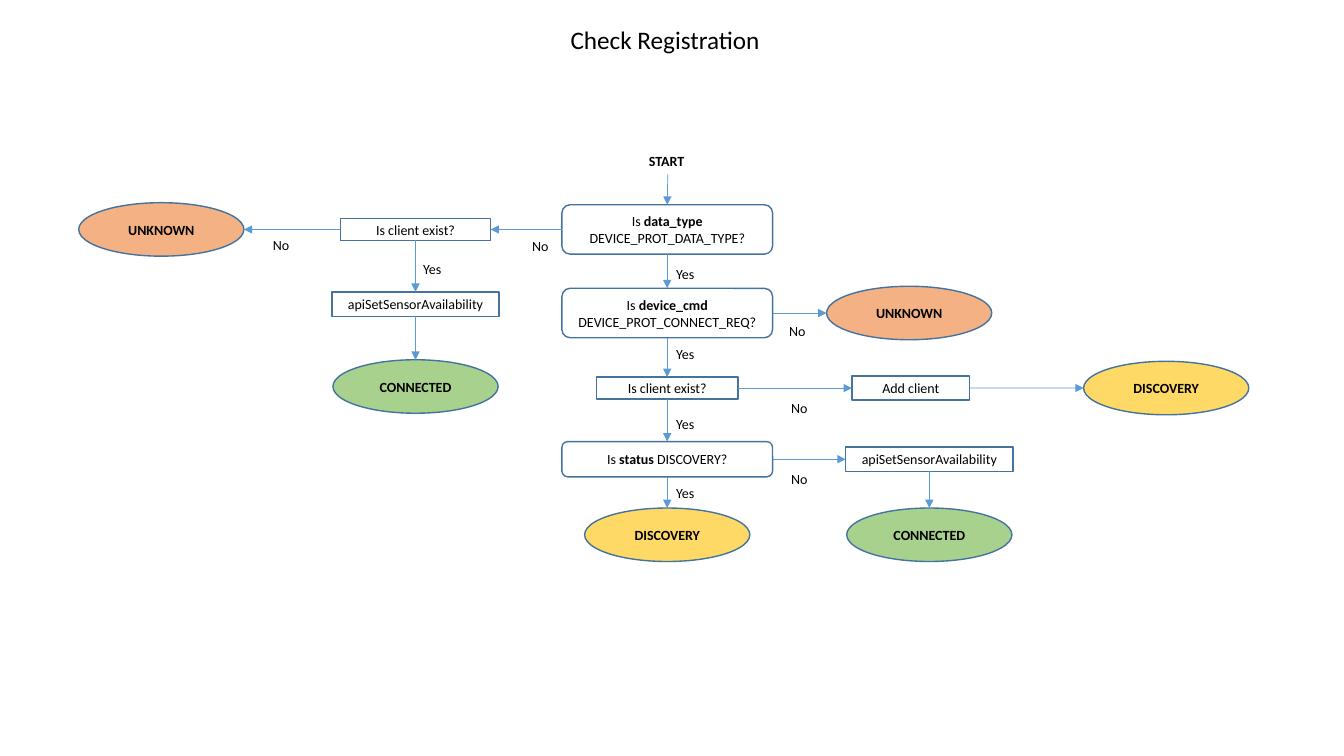
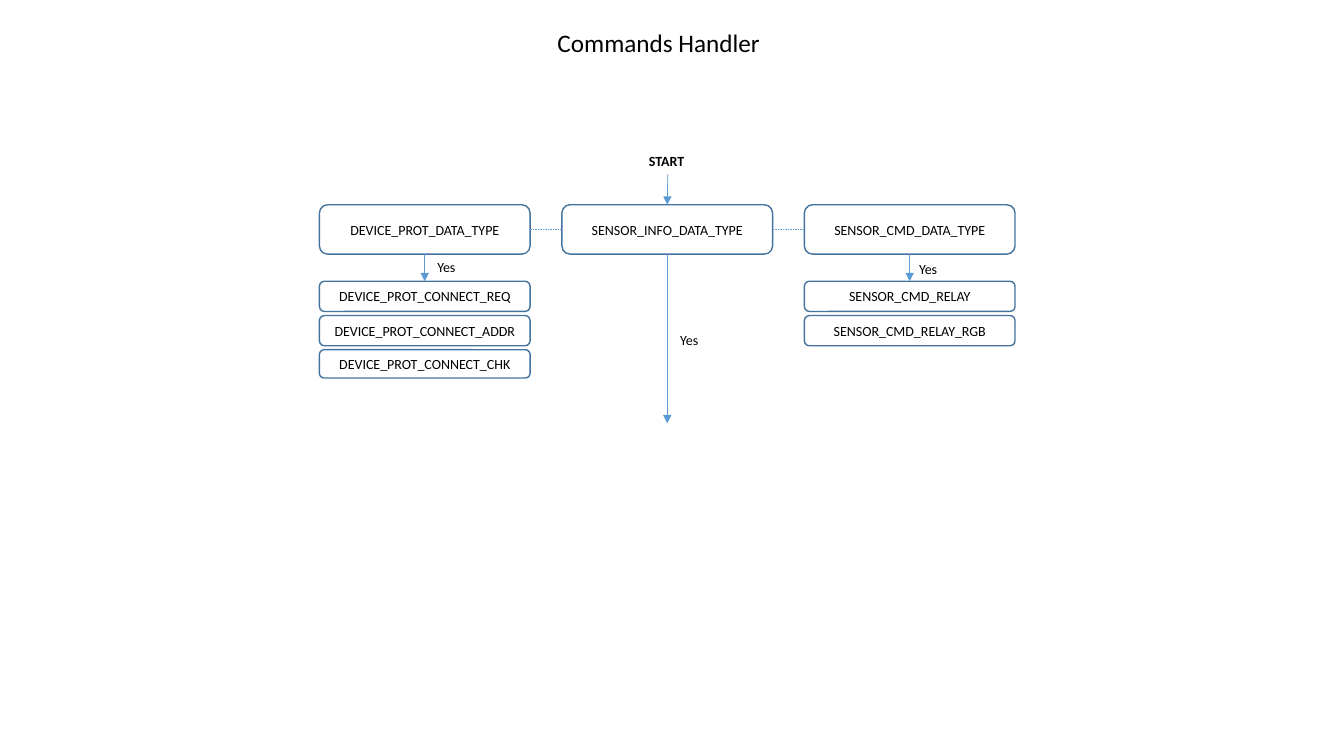
"""Build two flowchart slides: registration check and commands handler."""
from dataclasses import dataclass

from lxml import etree
from pptx import Presentation
from pptx.dml.color import RGBColor
from pptx.enum.dml import MSO_LINE
from pptx.enum.shapes import MSO_CONNECTOR, MSO_SHAPE
from pptx.enum.text import MSO_ANCHOR, MSO_AUTO_SIZE, PP_ALIGN
from pptx.oxml.ns import qn
from pptx.util import Pt

ROUNDED = MSO_SHAPE.ROUNDED_RECTANGLE
RECTANGLE = MSO_SHAPE.RECTANGLE
OVAL = MSO_SHAPE.OVAL
STRAIGHT = MSO_CONNECTOR.STRAIGHT
DASH = MSO_LINE.DASH
TOP, MIDDLE = MSO_ANCHOR.TOP, MSO_ANCHOR.MIDDLE
LEFT, CENTER = PP_ALIGN.LEFT, PP_ALIGN.CENTER
FIT_SHAPE = MSO_AUTO_SIZE.SHAPE_TO_FIT_TEXT


@dataclass(frozen=True)
class Theme:
    """Colours, font, type sizes and line widths."""
    font: str = "Calibri"
    ink: str = "000000"
    outline: str = "43739E"
    arrow: str = "5B9BD5"
    unknown: str = "F4B183"
    connected: str = "A9D18E"
    discovery: str = "FFD966"
    title_size: float = 18
    body_size: float = 10
    outline_width: float = 1
    arrow_width: float = 0.5
    link_width: float = 0.25


THEME = Theme()
SLIDE_SIZE = (960, 540)
MAIN = 476.6
LABEL_SIZES = {"Yes": (28, 19.4), "No": (26.6, 19.4)}

STYLES = {
    "start": (None, 41, 19.4, None),
    "question": (ROUNDED, 150.5, 35.3, None),
    "short question": (ROUNDED, 150.5, 25.2, None),
    "command": (ROUNDED, 150.5, 21.6, None),
    "last command": (ROUNDED, 150.5, 20.2, None),
    "check": (RECTANGLE, 101, 15.8, None),
    "side check": (RECTANGLE, 107.3, 15.5, None),
    "call": (RECTANGLE, 119.5, 17.5, None),
    "add": (RECTANGLE, 84.2, 17.3, None),
    "unknown": (OVAL, 118, 38.2, THEME.unknown),
    "connected": (OVAL, 118, 38.2, THEME.connected),
    "discovery": (OVAL, 118, 38.2, THEME.discovery),
}

ROWS = (163.9, 223.6, 277.2, 328, 382)
SIDE, API = 296.8, 663.8
START = ("start", "start", MAIN + 0.4, 114.8, "*START*")
REGISTRATION = {
    "title": ("Check Registration", 400.3, 13.7, 151.2),
    "boxes": [
        START,
        ("type", "question", MAIN, ROWS[0], "Is *data_type* DEVICE_PROT_DATA_TYPE?"),
        ("command", "question", MAIN, ROWS[1], "Is *device_cmd* DEVICE_PROT_CONNECT_REQ?"),
        ("client", "check", MAIN, ROWS[2], "Is client exist?"),
        ("status", "short question", MAIN, ROWS[3], "Is *status *DISCOVERY?"),
        ("found", "discovery", MAIN, ROWS[4], "*DISCOVERY*"),
        ("bad command", "unknown", 649.4, ROWS[1], "*UNKNOWN*"),
        ("add", "add", 650.6, ROWS[2], "Add client"),
        ("added", "discovery", 833, ROWS[2], "*DISCOVERY*"),
        ("call", "call", API, ROWS[3], "apiSetSensorAvailability"),
        ("connected", "connected", API, ROWS[4], "*CONNECTED*"),
        ("side client", "side check", SIDE, ROWS[0], "Is client exist?"),
        ("bad client", "unknown", 115.2, ROWS[0], "*UNKNOWN*"),
        ("side call", "call", SIDE, 217.2, "apiSetSensorAvailability"),
        ("side connected", "connected", SIDE, 276.1, "*CONNECTED*"),
    ],
    "flows": [
        ("start", "down", "type"),
        ("type", "down", "command"),
        ("command", "down", "client"),
        ("client", "down", "status"),
        ("status", "down", "found"),
        ("command", "right", "bad command"),
        ("client", "right", "add"),
        ("add", "right", "added"),
        ("status", "right", "call"),
        ("call", "down", "connected"),
        ("type", "left", "side client"),
        ("side client", "left", "bad client"),
        ("side client", "down", "side call"),
        ("side call", "down", "side connected"),
    ],
    "links": [],
    "labels": [
        *(("Yes", 475.9, top) for top in (185.8, 243.4, 293, 342.7)),
        ("Yes", 295.2, 182.2), ("No", 373, 166.3), ("No", 187.9, 165.6),
        ("No", 556.6, 226.8), ("No", 558, 281.5), ("No", 558, 332.6),
    ],
}

PITCH = 173.2
FAMILIES = [
    ("DEVICE_PROT_DATA_TYPE", MAIN - PITCH, [
        "DEVICE_PROT_CONNECT_REQ", "DEVICE_PROT_CONNECT_ADDR", "DEVICE_PROT_CONNECT_CHK"]),
    ("SENSOR_INFO_DATA_TYPE", MAIN, []),
    ("SENSOR_CMD_DATA_TYPE", MAIN + PITCH, ["SENSOR_CMD_RELAY", "SENSOR_CMD_RELAY_RGB"]),
]
COMMAND_ROWS = [("command", 211.7), ("command", 236.2), ("last command", 259.9)]
COMMANDS = {
    "title": ("Commands Handler", 391, 15.8, 160.6),
    "boxes": [
        START,
        *((name, "question", x, ROWS[0], name) for name, x, _ in FAMILIES),
        *((name, style, x, y, name) for _, x, names in FAMILIES
          for name, (style, y) in zip(names, COMMAND_ROWS)),
    ],
    "flows": [
        ("start", "down", "SENSOR_INFO_DATA_TYPE"),
        ("SENSOR_INFO_DATA_TYPE", "down", (MAIN, 302.4)),
        *((name, "down", names[0]) for name, _, names in FAMILIES if names),
    ],
    "links": [
        ("SENSOR_INFO_DATA_TYPE", "left", "DEVICE_PROT_DATA_TYPE"),
        ("SENSOR_INFO_DATA_TYPE", "right", "SENSOR_CMD_DATA_TYPE"),
    ],
    "labels": [("Yes", 478.8, 233.3), ("Yes", 305.3, 181.4), ("Yes", 649.4, 182.9)],
}

SIDES = {"down": ("bottom", "top"), "left": ("left", "right"), "right": ("right", "left")}
SITES = {"top": (0, 0, -1), "left": (1, -1, 0), "bottom": (2, 0, 1), "right": (3, 1, 0)}


def color(value):
    """Turn a hex string into a colour."""
    return RGBColor.from_string(value)


def write(frame, text, size, align, anchor, wrap):
    """Write one paragraph whose parts between stars are bold."""
    frame.word_wrap = wrap
    frame.vertical_anchor = anchor
    if not wrap:
        frame.auto_size = FIT_SHAPE
    para = frame.paragraphs[0]
    para.alignment = align
    for index, part in enumerate(text.split("*")):
        if part:
            span = para.add_run()
            span.text = part
            span.font.name = THEME.font
            span.font.size = Pt(size)
            span.font.bold = index % 2 == 1
            span.font.color.rgb = color(THEME.ink)


def add_note(page, text, left, top, width, height):
    """Add a plain text box."""
    note = page.shapes.add_textbox(Pt(left), Pt(top), Pt(width), Pt(height))
    write(note.text_frame, text, THEME.body_size, LEFT, TOP, False)
    return note


def add_box(page, style, x, y, text):
    """Add a flowchart box centred on a point."""
    preset, width, height, fill = STYLES[style]
    left, top = x - width / 2, y - height / 2
    if preset is None:
        return add_note(page, text, left, top, width, height)
    box = page.shapes.add_shape(preset, Pt(left), Pt(top), Pt(width), Pt(height))
    box.shadow.inherit = False
    if fill:
        box.fill.solid()
        box.fill.fore_color.rgb = color(fill)
    else:
        box.fill.background()
    box.line.color.rgb = color(THEME.outline)
    box.line.width = Pt(THEME.outline_width)
    write(box.text_frame, text, THEME.body_size, CENTER, MIDDLE, True)
    return box


def side_point(box, side):
    """Return the middle of one side of a box."""
    _, across, down = SITES[side]
    return (box.left + box.width * (1 + across) // 2,
            box.top + box.height * (1 + down) // 2)


def glue(connector, tag, box, side, round_box):
    """Attach one end of a connector to a box."""
    site = SITES[side][0] * (2 if round_box else 1)
    holder = connector._element.nvCxnSpPr.cNvCxnSpPr
    etree.SubElement(holder, qn(tag), id=str(box.shape_id), idx=str(site))


def connect(page, boxes, ovals, flow, arrow):
    """Draw an arrow or a dashed link between two boxes."""
    source, direction, target = flow
    out_side, in_side = SIDES[direction]
    begin = side_point(boxes[source], out_side)
    free = isinstance(target, tuple)
    end = tuple(map(Pt, target)) if free else side_point(boxes[target], in_side)
    connector = page.shapes.add_connector(STRAIGHT, *begin, *end)
    glue(connector, "a:stCxn", boxes[source], out_side, source in ovals)
    if not free:
        glue(connector, "a:endCxn", boxes[target], in_side, target in ovals)
    line = connector.line
    line.color.rgb = color(THEME.arrow)
    line.width = Pt(THEME.arrow_width if arrow else THEME.link_width)
    if arrow:
        etree.SubElement(line._get_or_add_ln(), qn("a:tailEnd"), type="triangle")
    else:
        line.dash_style = DASH
    etree.SubElement(connector._element.spPr, qn("a:effectLst"))


def add_page(deck, content):
    """Add one titled flowchart slide."""
    page = deck.slides.add_slide(deck.slide_layouts[5])
    text, left, top, width = content["title"]
    title = page.shapes.title
    title.left, title.top, title.width, title.height = map(Pt, (left, top, width, 29))
    write(title.text_frame, text, THEME.title_size, LEFT, TOP, False)
    boxes = {name: add_box(page, *rest) for name, *rest in content["boxes"]}
    ovals = {name for name, style, *_ in content["boxes"] if STYLES[style][0] == OVAL}
    for key, arrow in (("flows", True), ("links", False)):
        for flow in content[key]:
            connect(page, boxes, ovals, flow, arrow)
    for text, left, top in content["labels"]:
        add_note(page, text, left, top, *LABEL_SIZES[text])


def main():
    """Build and save the deck."""
    deck = Presentation()
    deck.slide_width, deck.slide_height = map(Pt, SLIDE_SIZE)
    for content in (REGISTRATION, COMMANDS):
        add_page(deck, content)
    deck.save("out.pptx")


main()
